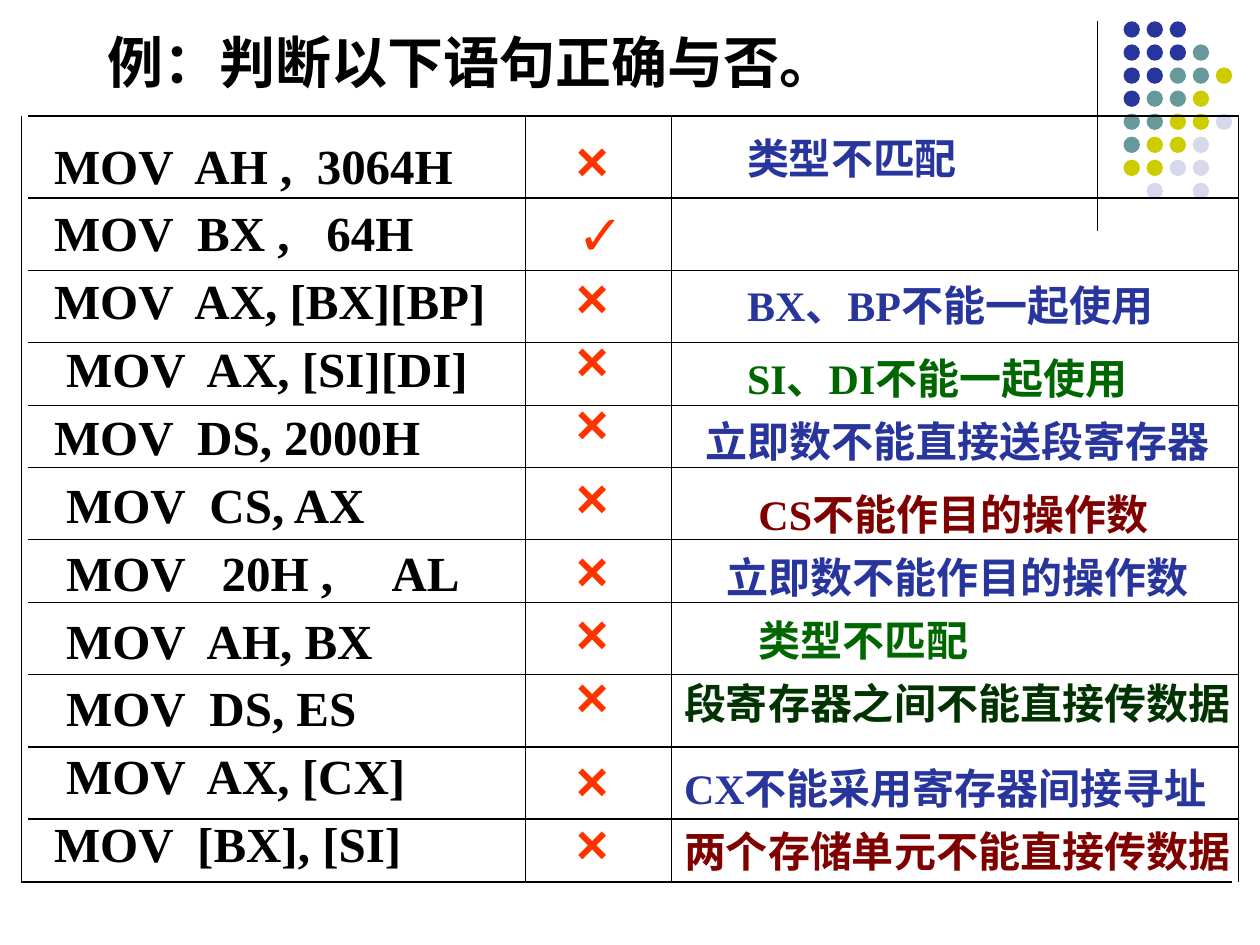
from lxml import etree
from pptx import Presentation
from pptx.dml.color import RGBColor
from pptx.enum.shapes import MSO_CONNECTOR as CONN, MSO_SHAPE as SHAPE
from pptx.oxml.ns import qn
from pptx.util import Cm, Pt

BLACK, BLUE, TEAL, LIME, PALE = "000000", "27359D", "669999", "CCCC00", "D8D8EC"
RED, GREEN, FOREST, MAROON = "FF3300", "006600", "003300", "800000"
SERIF, SANS = "Times New Roman", "Arial"

DOT_COLOURS = {"B": BLUE, "T": TEAL, "L": LIME, "P": PALE}
DOTS = ["BBB", "BBBT", "BBTTL", "BTTL", "TTLLP", "TLLP", "LLPP", " P P"]

COLUMNS = [0, 10.16, 13.11, 24.54]
RULES = [0, 1.65, 3.12, 4.57, 5.84, 7.08, 8.53, 9.8, 11.25, 12.72, 14.17]

ROWS = [
    ("MOV  AH ,  3064H", "×", 0.07, ("类型不匹配", BLUE, 14.38, 0.2, 6.78)),
    ("MOV  BX ,   64H", "✓", 1.55, None),
    ("MOV  AX, [BX][BP]", "×", 2.82, ("BX、BP不能一起使用", BLUE, 14.38, 3.17, 9.32)),
    (" MOV  AX, [SI][DI]", "×", 4.09, ("SI、DI不能一起使用", GREEN, 14.38, 4.65, 9.32)),
    ("MOV  DS, 2000H", "×", 5.36, ("立即数不能直接送段寄存器", BLUE, 13.54, 5.92, 11)),
    (" MOV  CS, AX", "×", 6.85, ("CS不能作目的操作数", MAROON, 14.61, 7.39, 9.32)),
    (" MOV   20H ,     AL", "×", 8.33, ("立即数不能作目的操作数", BLUE, 13.97, 8.66, 10.16)),
    (" MOV  AH, BX", "×", 9.6, ("类型不匹配", GREEN, 14.61, 9.93, 9.32)),
    (" MOV  DS, ES", "×", 10.87, ("段寄存器之间不能直接传数据", FOREST, 13.11, 11.2, 11.86)),
    (" MOV  AX, [CX]", "×", 12.57, ("CX不能采用寄存器间接寻址", BLUE, 13.11, 12.9, 11.63)),
    ("MOV  [BX], [SI]", "×", 13.84, ("两个存储单元不能直接传数据", MAROON, 13.11, 14.17, 11.63)),
]


def rgb(colour):
    """Turn a hex string into a colour."""
    return RGBColor.from_string(colour)


def add_line(s, x1, y1, x2, y2):
    """Draw a thin black line without shadow."""
    line = s.shapes.add_connector(CONN.STRAIGHT, Cm(x1), Cm(y1), Cm(x2), Cm(y2))
    line.line.color.rgb = rgb(BLACK)
    line.line.width = Pt(0.75)
    etree.SubElement(line._element.spPr, qn("a:effectLst"))


def add_text(s, x, y, w, h, lines, size, colour, font=SERIF, inset=0.25):
    """Place bold lines of text and return their text frame."""
    tf = s.shapes.add_textbox(Cm(x), Cm(y), Cm(w), Cm(h)).text_frame
    tf.word_wrap = True
    tf.margin_left = Cm(inset)
    tf.text = "\n".join(lines)
    for p in tf.paragraphs:
        for r in p.runs:
            r.font.size = Pt(size)
            r.font.bold = True
            r.font.name = font
            r.font.color.rgb = rgb(colour)
    return tf


def add_corner(s, x, y, pitch=0.465, size=0.33):
    """Draw the upright line and the dot pattern beside it."""
    add_line(s, x, y, x, y + 4.22)
    for row, codes in enumerate(DOTS):
        for col, code in enumerate(codes):
            if code == " ":
                continue
            dot = s.shapes.add_shape(SHAPE.OVAL, Cm(x + 0.53 + col * pitch),
                                     Cm(y + row * pitch), Cm(size), Cm(size))
            dot.shadow.inherit = False
            dot.fill.solid()
            dot.fill.fore_color.rgb = rgb(DOT_COLOURS[code])
            dot.line.fill.background()


def add_grid(s, x, y, w, h):
    """Draw the ruled lines around the statements."""
    for top in RULES:
        add_line(s, x + 0.13, y + top, x + w, y + top)
    add_line(s, x, y + h, x + w - 0.13, y + h)
    for left in COLUMNS:
        add_line(s, x + left, y, x + left, y + h)


def add_statements(s, x, y):
    """Write the statements, their marks and the reasons."""
    tf = add_text(s, x + 0.41, y + 0.2, 12.7, 15.19, [row[0] for row in ROWS], 28, BLACK)
    for i, p in enumerate(tf.paragraphs):
        p.line_spacing = 1.05
        p.space_before = Pt(3.5 if i else 0)
    for _, mark, top, note in ROWS:
        left, inset = (10.64, 0.54) if mark == "×" else (10.97, 0.25)
        add_text(s, x + left, y + top, 1.96, 1.63, [mark], 32, RED, SANS, inset)
        if note:
            text, colour, left, top, width = note
            add_text(s, x + left, y + top, width, 1.27, [text], 24, colour)


def main():
    """Build the slide and save it."""
    prs = Presentation()
    prs.slide_width, prs.slide_height = Cm(25.4), Cm(19.05)
    s = prs.slides.add_slide(prs.slide_layouts[6])
    add_corner(s, 22.12, 0.43)
    add_grid(s, 0.43, 2.34, 24.54, 15.44)
    add_statements(s, 0.43, 2.34)
    add_text(s, 1.91, 0.43, 16.51, 1.63, ["例：判断以下语句正确与否。"], 32, BLACK)
    prs.save("out.pptx")


if __name__ == "__main__":
    main()
